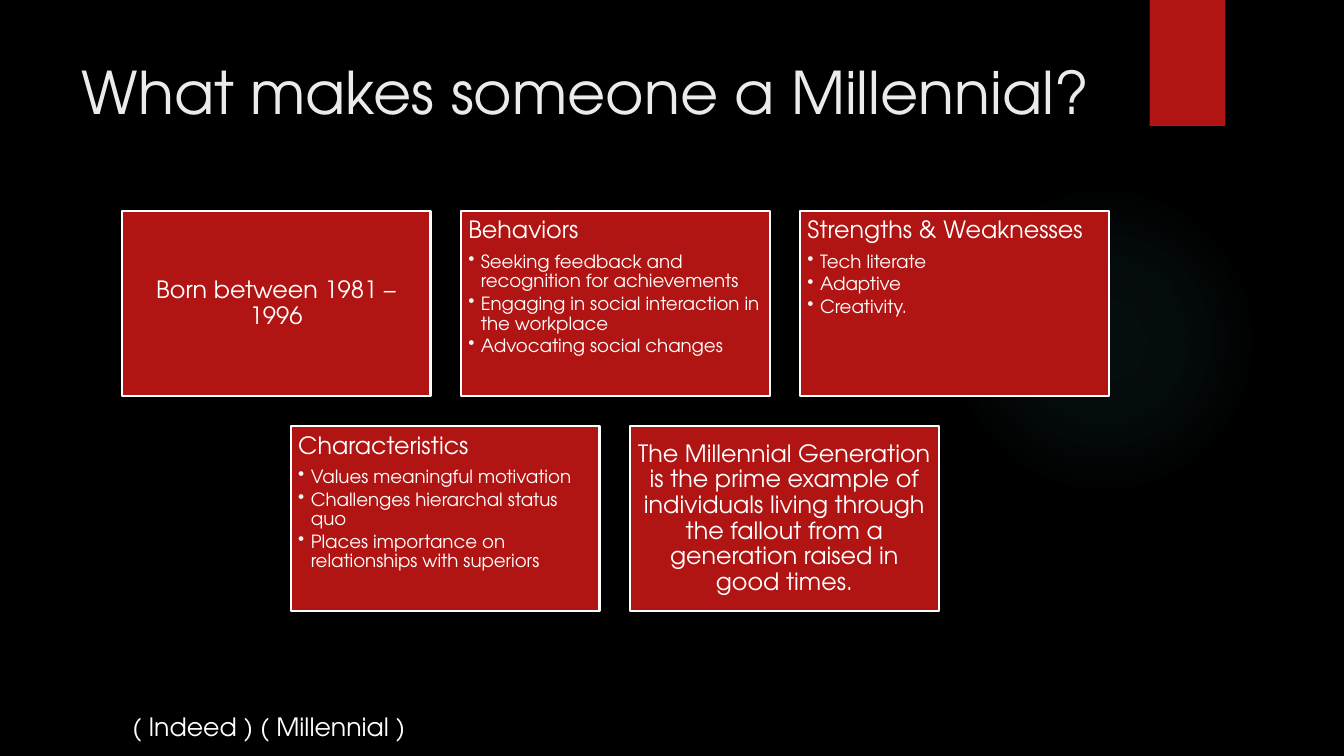
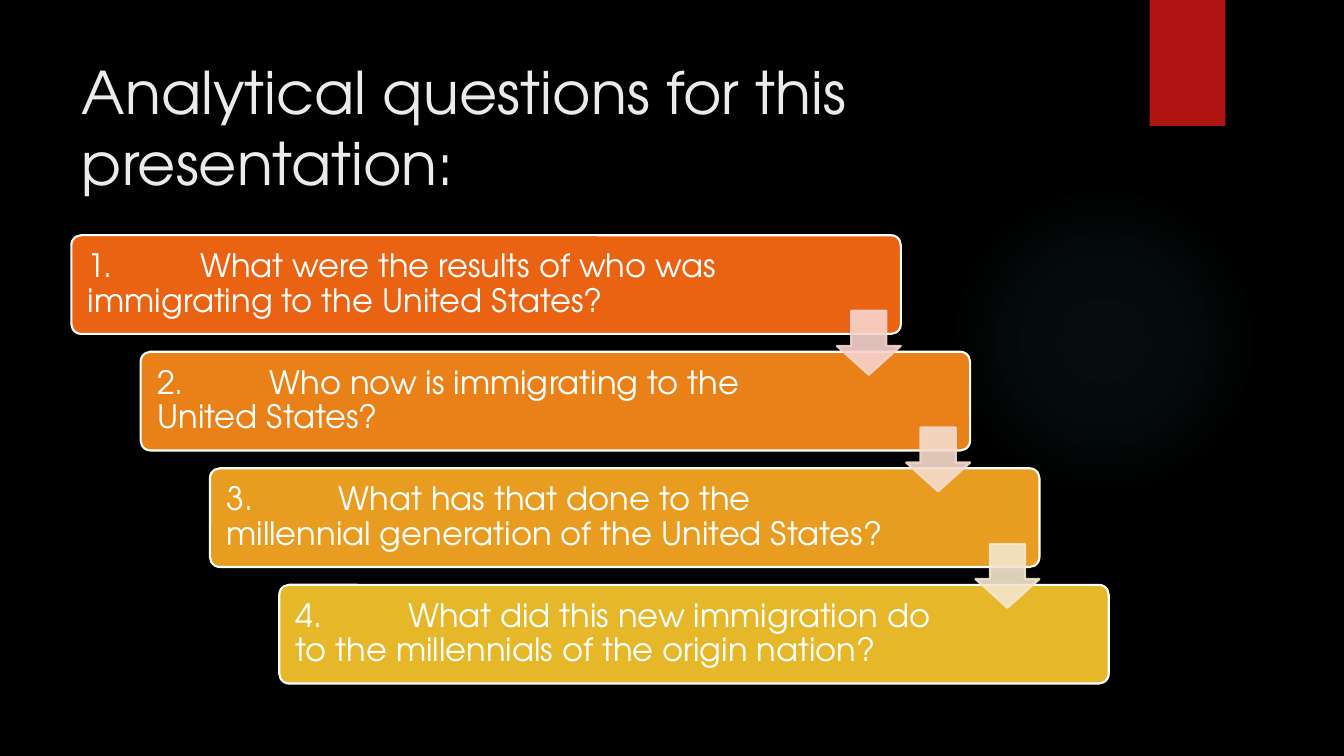
from lxml.etree import SubElement
from pptx import Presentation
from pptx.dml.color import RGBColor
from pptx.enum.shapes import MSO_SHAPE as Preset
from pptx.enum.text import MSO_ANCHOR as Anchor, PP_ALIGN as Align
from pptx.oxml import parse_xml
from pptx.oxml.ns import nsdecls, qn
from pptx.util import Pt

PX = 9525
FONT = "TeX Gyre Adventor"
BLACK = RGBColor(0x00, 0x00, 0x00)
WHITE = RGBColor(0xFF, 0xFF, 0xFF)
TITLE_GREY = RGBColor(0xEB, 0xEB, 0xEB)
RED = RGBColor(0xB0, 0x15, 0x13)
TEAL = RGBColor(0x50, 0xB9, 0xC1)
STEP_COLORS = [
    RGBColor(0xEA, 0x63, 0x12),
    RGBColor(0xEA, 0x81, 0x18),
    RGBColor(0xE8, 0x9D, 0x21),
    RGBColor(0xE6, 0xB7, 0x29),
]
ARROW_COLORS = [
    RGBColor(0xF7, 0xD3, 0xCC),
    RGBColor(0xF6, 0xDC, 0xCD),
    RGBColor(0xF5, 0xE6, 0xCD),
]

CARD_WIDTH, CARD_HEIGHT, CARD_GAP = 294, 176, 29
CARD_LEFT, CARD_TOP = 116, 201
STEP_WIDTH, STEP_HEIGHT = 790, 94
STEP_LEFT, STEP_TOP = 68, 224
STEP_SHIFT, STEP_PITCH = 66, 111
ARROW_SIZE, ARROW_DROP = 61, 72

CARD_ROWS = [
    [
        ("Born between 1981 – 1996", []),
        ("Behaviors", [
            "Seeking feedback and recognition for achievements",
            "Engaging in social interaction in the workplace",
            "Advocating social changes",
        ]),
        ("Strengths & Weaknesses", ["Tech literate", "Adaptive", "Creativity."]),
    ],
    [
        ("Characteristics", [
            "Values meaningful motivation",
            "Challenges hierarchal status quo",
            "Places importance on relationships with superiors",
        ]),
        ("The Millennial Generation is the prime example of individuals living "
         "through the fallout from a generation raised in good times.", []),
    ],
]
QUESTIONS = [
    "What were the results of who was immigrating to the United States?",
    "Who now is immigrating to the United States?",
    "What has that done to the millennial generation of the United States?",
    "What did this new immigration do to the millennials of the origin nation?",
]


def to_emu(*lengths):
    return [length * PX for length in lengths]


def add_preset(slide, preset, box, fill, line=None, adjustments=()):
    shape = slide.shapes.add_shape(preset, *to_emu(*box))
    shape.shadow.inherit = False
    shape.fill.solid()
    shape.fill.fore_color.rgb = fill
    if line is None:
        shape.line.fill.background()
    else:
        shape.line.color.rgb = line
        shape.line.width = Pt(1.5)
    for index, value in enumerate(adjustments):
        shape.adjustments[index] = value
    return shape


def set_frame(shape, margins, anchor=Anchor.TOP):
    frame = shape.text_frame
    frame.word_wrap = True
    frame.vertical_anchor = anchor
    (frame.margin_left, frame.margin_top,
     frame.margin_right, frame.margin_bottom) = to_emu(*margins)
    return frame


def add_text(frame, text, size, color=WHITE, align=Align.LEFT, spacing=None,
             after=0, bullet_indent=0, tab=0):
    paragraph = frame.paragraphs[0] if not frame.text else frame.add_paragraph()
    paragraph.alignment = align
    paragraph.space_after = Pt(after)
    if spacing:
        paragraph.line_spacing = spacing
    properties = paragraph._p.get_or_add_pPr()
    if bullet_indent:
        properties.set("marL", str(bullet_indent * PX))
        properties.set("indent", str(-bullet_indent * PX))
        SubElement(properties, qn("a:buChar")).set("char", "•")
    if tab:
        stop = SubElement(SubElement(properties, qn("a:tabLst")), qn("a:tab"))
        stop.set("pos", str(tab * PX))
        stop.set("algn", "l")
    run = paragraph.add_run()
    run.text = text
    run.font.name = FONT
    run.font.size = Pt(size)
    run.font.color.rgb = color


def add_text_box(slide, box, text, **text_format):
    shape = slide.shapes.add_textbox(*to_emu(*box))
    add_text(set_frame(shape, (10, 5, 10, 5)), text, **text_format)


def add_glow(slide):
    shape = add_preset(slide, Preset.OVAL, (903, 176, 296, 296), TEAL)
    stops = "".join(
        f'<a:gs pos="{position * 1000}"><a:srgbClr val="{TEAL}">'
        f'<a:alpha val="{alpha * 1000}"/></a:srgbClr></a:gs>'
        for position, alpha in [(0, 7), (36, 6), (69, 0)]
    )
    gradient = parse_xml(
        f'<a:gradFill {nsdecls("a")} rotWithShape="1"><a:gsLst>{stops}</a:gsLst>'
        '<a:path path="circle"><a:fillToRect l="50000" t="50000" r="50000" b="50000"/>'
        '</a:path></a:gradFill>'
    )
    properties = shape.element.spPr
    properties.replace(properties.find(qn("a:solidFill")), gradient)


def add_base_slide(presentation, title):
    slide = presentation.slides.add_slide(presentation.slide_layouts[6])
    slide.background.fill.solid()
    slide.background.fill.fore_color.rgb = BLACK
    add_glow(slide)
    add_preset(slide, Preset.RECTANGLE, (1095, 0, 72, 120), RED)
    add_text_box(slide, (68, 48, 988, 147), title, size=42, color=TITLE_GREY)
    return slide


def add_card(slide, left, top, heading, bullets):
    shape = add_preset(slide, Preset.RECTANGLE,
                       (left, top, CARD_WIDTH, CARD_HEIGHT), RED, WHITE)
    anchor, align = (Anchor.TOP, Align.LEFT) if bullets else (Anchor.MIDDLE, Align.CENTER)
    frame = set_frame(shape, (7, 7, 7, 7), anchor)
    add_text(frame, heading, size=17, align=align, spacing=0.9, after=6)
    for bullet in bullets:
        add_text(frame, bullet, size=13, spacing=0.9, after=2, bullet_indent=12)


def add_cards(slide):
    longest = max(len(row) for row in CARD_ROWS)
    pitch = CARD_WIDTH + CARD_GAP
    for row_index, row in enumerate(CARD_ROWS):
        row_left = CARD_LEFT + (longest - len(row)) * pitch // 2
        top = CARD_TOP + row_index * (CARD_HEIGHT + CARD_GAP)
        for column, (heading, bullets) in enumerate(row):
            add_card(slide, row_left + column * pitch, top, heading, bullets)


def add_step(slide, index, question, color):
    left, top = STEP_LEFT + index * STEP_SHIFT, STEP_TOP + index * STEP_PITCH
    shape = add_preset(slide, Preset.ROUNDED_RECTANGLE,
                       (left, top, STEP_WIDTH, STEP_HEIGHT), color, WHITE, [0.1])
    frame = set_frame(shape, (13, 10, 145, 10), Anchor.MIDDLE)
    add_text(frame, f"{index + 1}.\t{question}", size=23, spacing=0.9, after=8, tab=107)


def add_step_arrow(slide, index, color):
    left = STEP_LEFT + index * STEP_SHIFT + STEP_WIDTH - ARROW_SIZE
    top = STEP_TOP + index * STEP_PITCH + ARROW_DROP
    shape = add_preset(slide, Preset.DOWN_ARROW, (left, top, ARROW_SIZE, ARROW_SIZE),
                       color, color, [0.55, 0.45])
    for color_element in shape.element.spPr.iter(qn("a:srgbClr")):
        SubElement(color_element, qn("a:alpha")).set("val", "90000")


def main():
    presentation = Presentation()
    presentation.slide_width, presentation.slide_height = to_emu(1280, 720)

    slide = add_base_slide(presentation, "What makes someone a Millennial?")
    add_cards(slide)
    add_text_box(slide, (116, 672, 530, 38), "( Indeed ) ( Millennial )", size=18)

    slide = add_base_slide(presentation, "Analytical questions for this presentation:")
    for index, (question, color) in enumerate(zip(QUESTIONS, STEP_COLORS)):
        add_step(slide, index, question, color)
    for index, color in enumerate(ARROW_COLORS):
        add_step_arrow(slide, index, color)

    presentation.save("out.pptx")


if __name__ == "__main__":
    main()
